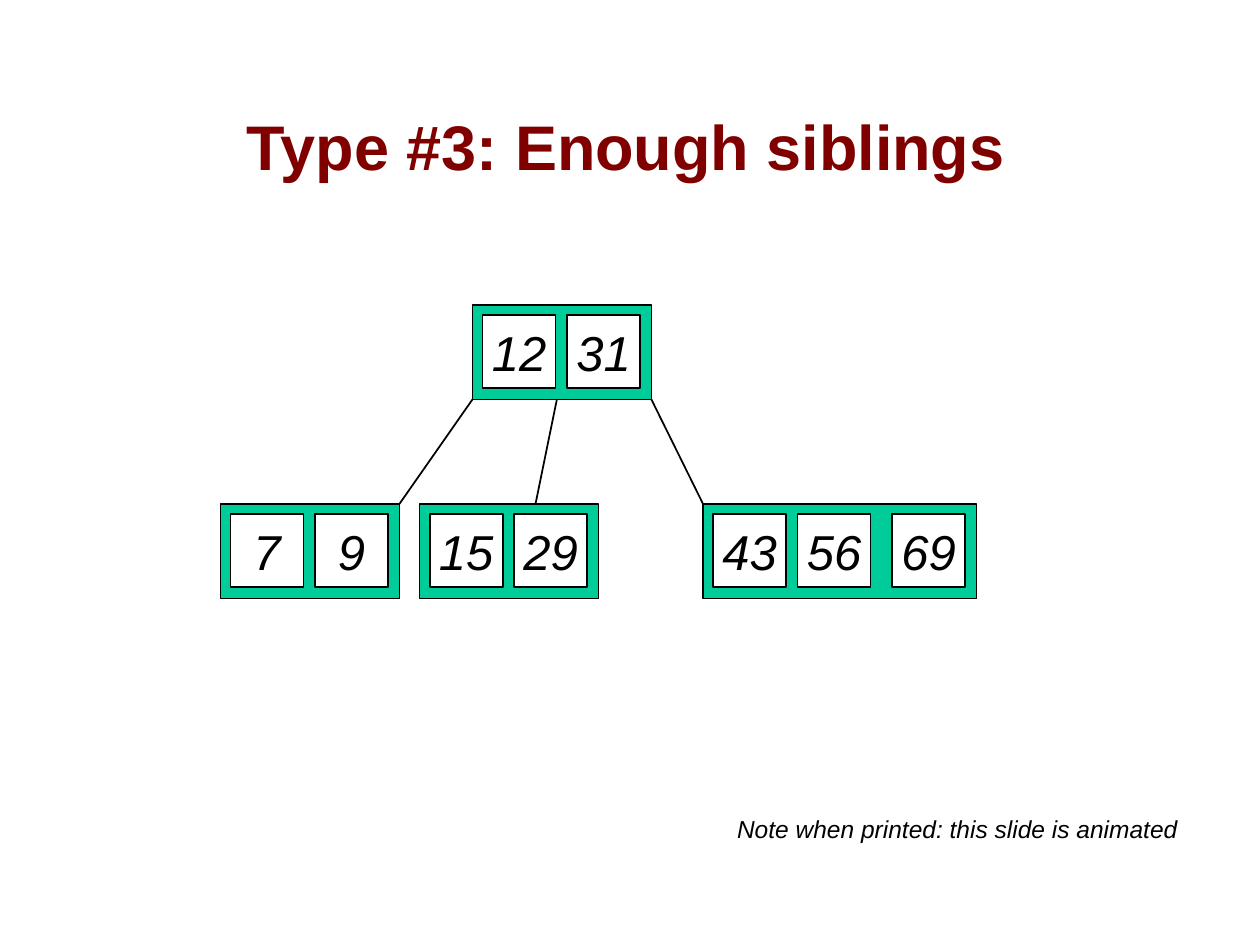
from dataclasses import dataclass

from pptx import Presentation
from pptx.dml.color import RGBColor
from pptx.enum.shapes import MSO_CONNECTOR, MSO_SHAPE
from pptx.enum.text import MSO_ANCHOR, MSO_AUTO_SIZE, PP_ALIGN
from pptx.oxml.ns import qn
from pptx.shapes.autoshape import Shape
from pptx.slide import Slide
from pptx.util import Inches, Pt
from lxml import etree

BLACK, WHITE, GREEN, MAROON = "000000", "FFFFFF", "00CC99", "800000"
KEY_OFFSETS = (0.08, 0.75, 1.5)
KEY_SIZE = 0.58
KEY_TOP = 0.08
NODE_HEIGHT = 0.75
NODE_END = 0.67
ROOT_TOP, LEAF_TOP = 2.42, 4


@dataclass(frozen=True)
class Node:
    left: float
    top: float
    keys: tuple[str, ...]

    @property
    def width(self) -> float:
        return KEY_OFFSETS[len(self.keys) - 1] + NODE_END

    @property
    def right(self) -> float:
        return self.left + self.width


@dataclass(frozen=True)
class Branch:
    start: float
    end: float


ROOT = Node(3.75, ROOT_TOP, ("12", "31"))
LEAVES = (
    Node(1.75, LEAF_TOP, ("7", "9")),
    Node(3.33, LEAF_TOP, ("15", "29")),
    Node(5.58, LEAF_TOP, ("43", "56", "69")),
)
BRANCHES = (
    Branch(ROOT.left, LEAVES[0].right),
    Branch(4.42, 4.25),
    Branch(ROOT.right, LEAVES[2].left),
)


def color(value: str) -> RGBColor:
    return RGBColor.from_string(value)


def write_text(shape: Shape, text: str, size: int, fill: str = BLACK,
               bold: bool = False, italic: bool = False, wrap: bool = False,
               anchor: MSO_ANCHOR = MSO_ANCHOR.MIDDLE) -> None:
    frame = shape.text_frame
    frame.word_wrap = wrap
    frame.vertical_anchor = anchor
    paragraph = frame.paragraphs[0]
    paragraph.text = text
    paragraph.alignment = PP_ALIGN.CENTER
    font = paragraph.font
    font.name, font.size = "Arial", Pt(size)
    font.bold, font.italic = bold, italic
    font.color.rgb = color(fill)


def add_box(slide: Slide, left: float, top: float, width: float,
            height: float, fill: str) -> Shape:
    shape = slide.shapes.add_shape(
        MSO_SHAPE.RECTANGLE, Inches(left), Inches(top), Inches(width), Inches(height))
    shape.shadow.inherit = False
    shape.fill.solid()
    shape.fill.fore_color.rgb = color(fill)
    shape.line.color.rgb = color(BLACK)
    shape.line.width = Pt(1)
    return shape


def add_node(slide: Slide, node: Node) -> None:
    add_box(slide, node.left, node.top, node.width, NODE_HEIGHT, GREEN)
    for offset, key in zip(KEY_OFFSETS, node.keys):
        cell = add_box(slide, node.left + offset, node.top + KEY_TOP,
                       KEY_SIZE, KEY_SIZE, WHITE)
        write_text(cell, key, 28, italic=True)


def add_branch(slide: Slide, branch: Branch) -> None:
    connector = slide.shapes.add_connector(
        MSO_CONNECTOR.STRAIGHT, Inches(branch.start), Inches(ROOT_TOP + NODE_HEIGHT),
        Inches(branch.end), Inches(LEAF_TOP))
    connector.line.color.rgb = color(BLACK)
    connector.line.width = Pt(1)
    etree.SubElement(connector._element.spPr, qn("a:effectLst"))


def main() -> None:
    """Build the slide of a tree whose sibling node has keys to spare."""
    presentation = Presentation()
    presentation.slide_width, presentation.slide_height = Inches(10), Inches(7.5)
    slide = presentation.slides.add_slide(presentation.slide_layouts[6])

    title = slide.shapes.add_textbox(
        Inches(0.44), Inches(0.25), Inches(9.06), Inches(1.25))
    write_text(title, "Type #3: Enough siblings", 36, MAROON, bold=True,
               wrap=True, anchor=MSO_ANCHOR.BOTTOM)

    for node in (ROOT, *LEAVES):
        add_node(slide, node)
    for branch in BRANCHES:
        add_branch(slide, branch)

    note = slide.shapes.add_textbox(
        Inches(5.75), Inches(6.41), Inches(3.7), Inches(0.34))
    write_text(note, "Note when printed: this slide is animated", 14, italic=True)
    note.text_frame.auto_size = MSO_AUTO_SIZE.SHAPE_TO_FIT_TEXT

    presentation.save("out.pptx")


if __name__ == "__main__":
    main()
